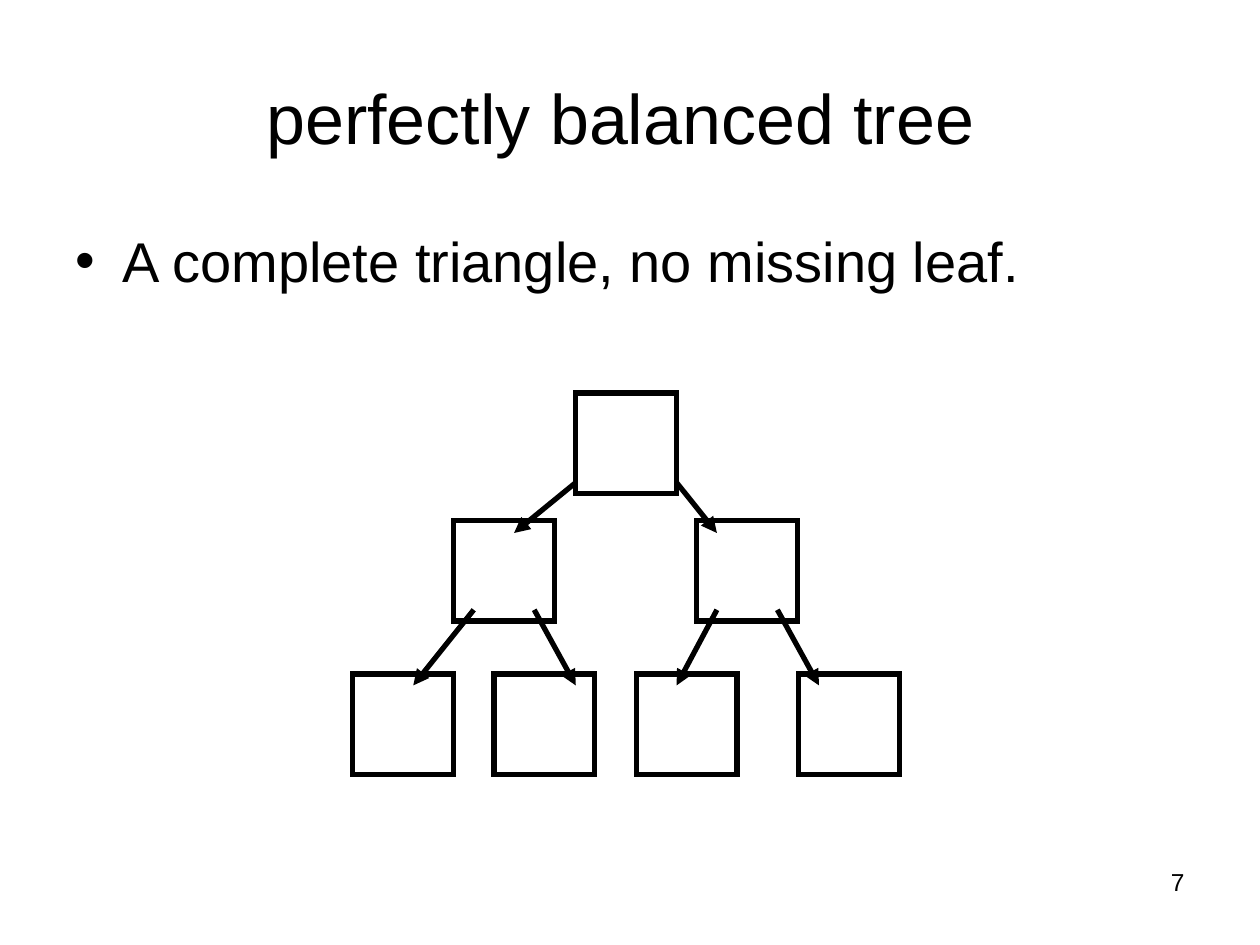
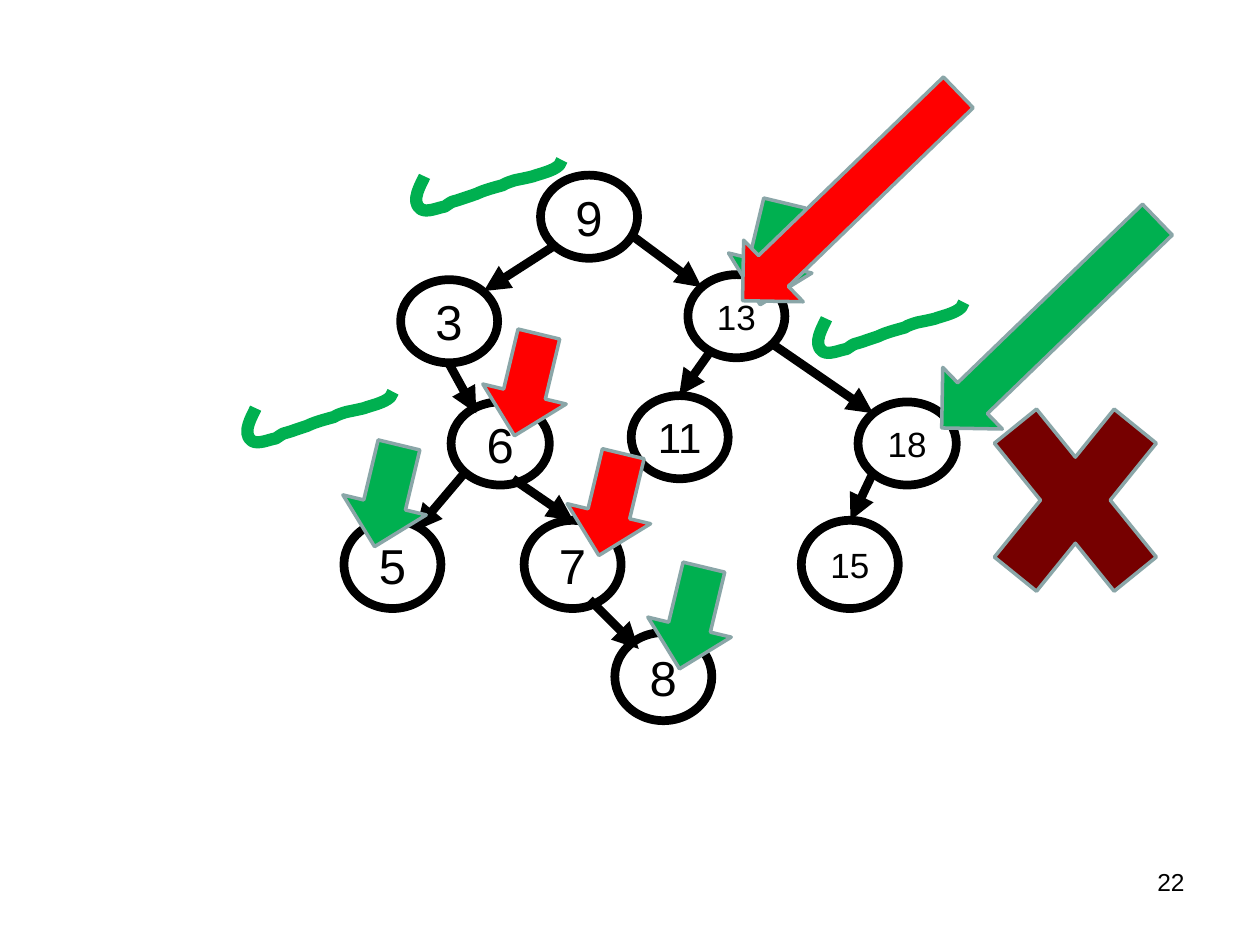
from pptx import Presentation
from pptx.dml.color import RGBColor
from pptx.enum.shapes import MSO_CONNECTOR, MSO_SHAPE as SHAPE
from pptx.enum.text import MSO_ANCHOR as ANCHOR, PP_ALIGN as ALIGN
from pptx.oxml.ns import qn
from pptx.util import Inches, Pt
from lxml.etree import SubElement

FONT = "Arial"
BLACK, WHITE, GREEN, RED = "000000", "FFFFFF", "00B050", "FF0000"
MAROON, OUTLINE = "760000", "8AA6A8"

TITLE = "perfectly balanced tree "
BULLET = "A complete triangle, no missing leaf."
BOX = 0.8
BOX_ROWS = [
    (3.12, [4.57]),
    (4.13, [3.6, 5.53]),
    (5.35, [2.8, 3.92, 5.05, 6.34]),
]
BOX_EDGES = [
    (4.57, 3.83, 4.08, 4.23),
    (5.37, 3.83, 5.69, 4.23),
    (3.76, 4.84, 3.28, 5.44),
    (4.24, 4.84, 4.57, 5.44),
    (5.69, 4.84, 5.37, 5.44),
    (6.17, 4.84, 6.5, 5.44),
]

NODES = [
    ("9", 4.29, 1.39, 0.77, 0.66, 28),
    ("3", 3.18, 2.22, 0.77, 0.66, 28),
    ("13", 5.46, 2.18, 0.77, 0.66, 20),
    ("11", 5.01, 3.14, 0.77, 0.66, 24),
    ("18", 6.81, 3.19, 0.78, 0.66, 20),
    ("6", 3.58, 3.19, 0.78, 0.66, 28),
    ("5", 2.73, 4.13, 0.77, 0.7, 28),
    ("8", 4.88, 5.02, 0.77, 0.7, 28),
    ("15", 6.36, 4.13, 0.77, 0.7, 20),
    ("7", 4.16, 4.13, 0.77, 0.7, 28),
]
NODE_EDGES = [
    (4.4, 1.95, 3.84, 2.31),
    (5.03, 1.88, 5.57, 2.28),
    (3.56, 2.88, 3.78, 3.28),
    (5.63, 2.8, 5.39, 3.14),
    (6.13, 2.73, 6.93, 3.28),
    (3.69, 3.75, 3.3, 4.21),
    (4.07, 3.8, 4.55, 4.13),
    (6.93, 3.75, 6.75, 4.13),
    (4.68, 4.76, 5.07, 5.15),
]
ARROW_W = 0.68
SHORT, LONG = (0.83, 13.5), (2.38, 46)
ARROWS = [
    (5.79, 1.6, SHORT, GREEN),
    (2.73, 3.52, SHORT, GREEN),
    (3.84, 2.64, SHORT, RED),
    (5.15, 4.49, SHORT, GREEN),
    (4.51, 3.59, SHORT, RED),
    (7.99, 1.38, LONG, GREEN),
    (6.41, 0.37, LONG, RED),
]
TICKS = [(6.49, 2.4), (1.96, 3.11), (3.3, 1.27)]
TICK_W, TICK_H = 1.16, 0.4
TICK_START = (0.07, 0.13)
TICK_CURVES = [
    ((0.05, 0.18), (-0.05, 0.33), (0.04, 0.39)),
    ((0.09, 0.42), (0.17, 0.38), (0.23, 0.37)),
    ((0.32, 0.31), (0.25, 0.35), (0.39, 0.3)),
    ((0.42, 0.29), (0.45, 0.28), (0.48, 0.27)),
    ((0.54, 0.24), (0.62, 0.22), (0.69, 0.2)),
    ((0.72, 0.18), (0.76, 0.17), (0.79, 0.16)),
    ((0.84, 0.15), (0.89, 0.14), (0.93, 0.13)),
    ((0.98, 0.11), (1.09, 0.09), (1.14, 0.04)),
    ((1.15, 0.03), (1.15, 0.01), (1.16, 0)),
]


def rgb(color):
    return RGBColor.from_string(color)


def style(sp, fill, line, width):
    sp.shadow.inherit = False
    if fill:
        sp.fill.solid()
        sp.fill.fore_color.rgb = rgb(fill)
    else:
        sp.fill.background()
    sp.line.color.rgb = rgb(line)
    sp.line.width = Pt(width)


def write(tf, text, size, align, anchor=ANCHOR.TOP):
    tf.vertical_anchor = anchor
    p = tf.paragraphs[0]
    p.text = text
    p.alignment = align
    font = p.runs[0].font
    font.name, font.size, font.color.rgb = FONT, Pt(size), rgb(BLACK)
    return p


def add_text(s, box, *args):
    tf = s.shapes.add_textbox(*map(Inches, box)).text_frame
    tf.word_wrap = True
    return write(tf, *args)


def add_shape(s, kind, box, fill, line, width):
    sp = s.shapes.add_shape(kind, *map(Inches, box))
    style(sp, fill, line, width)
    return sp


def add_edge(s, ends, width):
    c = s.shapes.add_connector(MSO_CONNECTOR.STRAIGHT, *map(Inches, ends))
    c.line.color.rgb = rgb(BLACK)
    c.line.width = Pt(width)
    spPr = c._element.spPr
    SubElement(spPr.find(qn("a:ln")), qn("a:tailEnd"), type="triangle")
    SubElement(spPr, qn("a:effectLst"))


def add_command(outline, tag, points):
    command = SubElement(outline, qn(tag))
    for x, y in points:
        SubElement(command, qn("a:pt"), x=str(Inches(x)), y=str(Inches(y)))


def add_tick(s, left, top):
    builder = s.shapes.build_freeform(Inches(left), Inches(top))
    builder.add_line_segments([(Inches(left + TICK_W), Inches(top + TICK_H))], close=False)
    sp = builder.convert_to_shape()
    style(sp, None, GREEN, 7)
    outline = sp._element.spPr.find(".//" + qn("a:path"))
    for command in list(outline):
        outline.remove(command)
    add_command(outline, "a:moveTo", [TICK_START])
    for curve in TICK_CURVES:
        add_command(outline, "a:cubicBezTo", curve)


def add_slide(prs):
    return prs.slides.add_slide(prs.slide_layouts[6])


def add_number(s, number):
    add_text(s, (7.17, 6.83, 2.33, 0.52), number, 14, ALIGN.RIGHT)


def balanced_tree(prs):
    s = add_slide(prs)
    add_text(s, (0.5, 0.3, 9, 1.25), TITLE, 40, ALIGN.CENTER, ANCHOR.MIDDLE)
    p = add_text(s, (0.5, 1.75, 9, 4.95), BULLET, 32, ALIGN.LEFT)
    p.space_before = Pt(4)
    pPr = p._p.get_or_add_pPr()
    pPr.set("marL", str(Pt(27)))
    pPr.set("indent", str(Pt(-27)))
    SubElement(pPr, qn("a:buFont"), typeface=FONT)
    SubElement(pPr, qn("a:buChar"), char="•")
    tree = s.shapes.add_group_shape()
    for top, lefts in BOX_ROWS:
        for left in lefts:
            sp = add_shape(tree, SHAPE.RECTANGLE, (left, top, BOX, BOX), WHITE, BLACK, 3)
            SubElement(sp._element.spPr.find(qn("a:ln")), qn("a:miter"), lim="800000")
    for ends in BOX_EDGES:
        add_edge(tree, ends, 3)
    add_number(s, "7")


def search_tree(prs):
    s = add_slide(prs)
    for key, left, top, width, height, size in NODES:
        sp = add_shape(s, SHAPE.OVAL, (left, top, width, height), None, BLACK, 5)
        tf = sp.text_frame
        tf.word_wrap = False
        tf.margin_left = tf.margin_right = tf.margin_top = tf.margin_bottom = 0
        write(tf, key, size, ALIGN.CENTER, ANCHOR.MIDDLE)
    for ends in NODE_EDGES:
        add_edge(s, ends, 5)
    for left, top, (length, angle), color in ARROWS:
        sp = add_shape(s, SHAPE.DOWN_ARROW, (left, top, ARROW_W, length), color, OUTLINE, 2)
        sp.rotation = angle
    for left, top in TICKS:
        add_tick(s, left, top)
    add_shape(s, SHAPE.MATH_MULTIPLY, (7.62, 2.84, 1.83, 2.26), MAROON, OUTLINE, 2)
    add_number(s, "22")


def main():
    prs = Presentation()
    prs.slide_width, prs.slide_height = Inches(10), Inches(7.5)
    balanced_tree(prs)
    search_tree(prs)
    prs.save("out.pptx")


if __name__ == "__main__":
    main()
